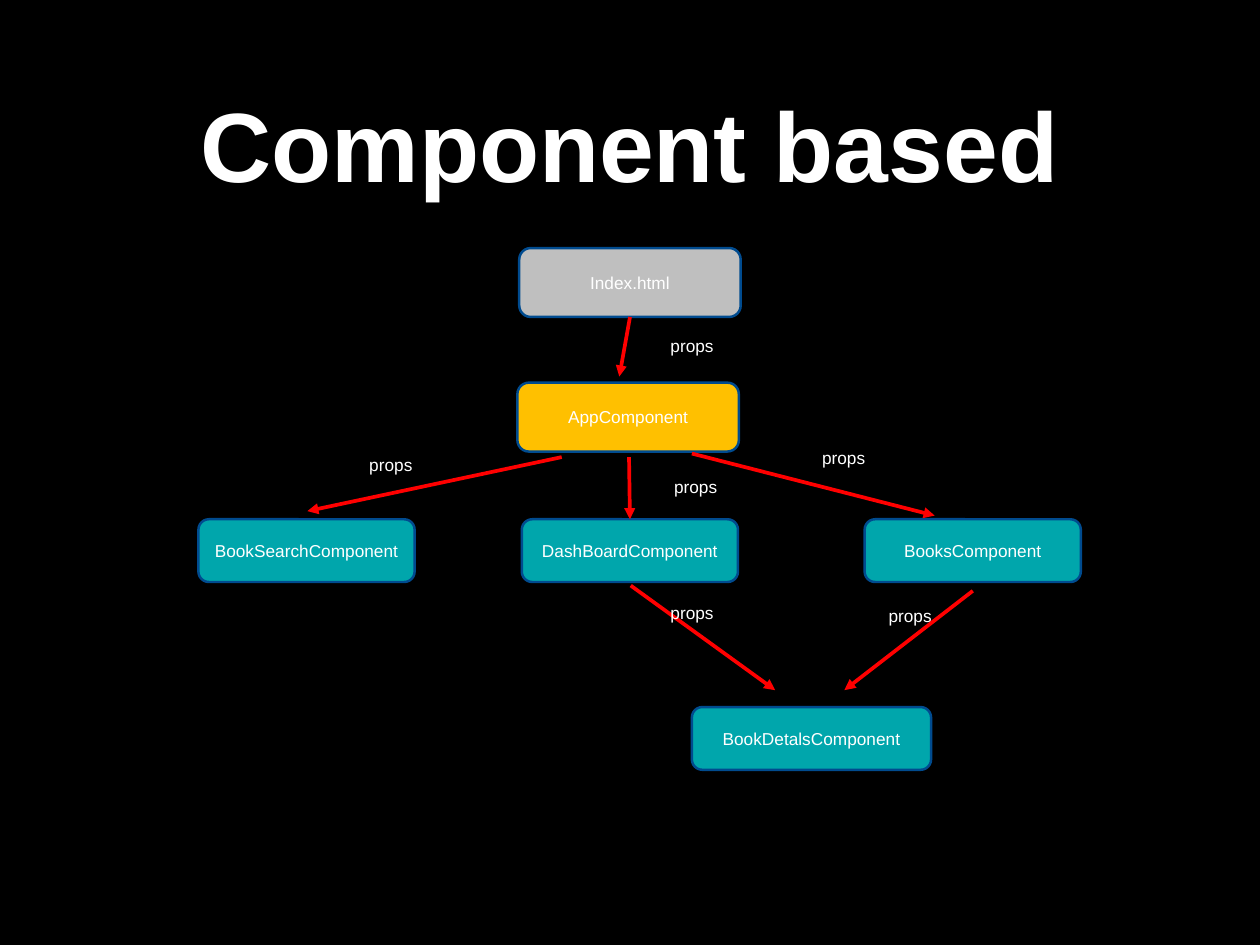
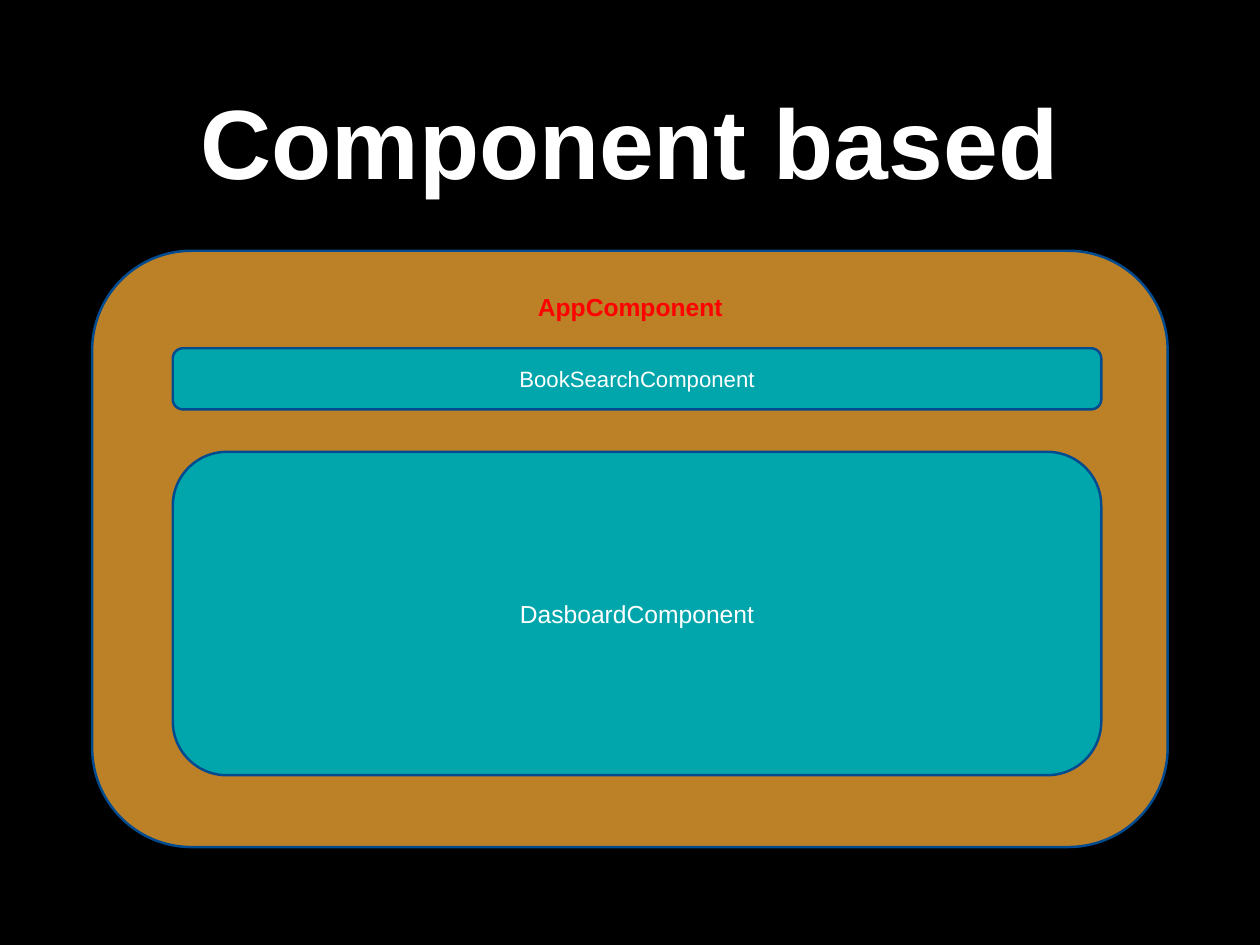
"""Build two slides that show a component tree and its nested layout."""
from dataclasses import dataclass
from typing import Optional

from lxml import etree
from pptx import Presentation
from pptx.dml.color import RGBColor
from pptx.enum.shapes import MSO_CONNECTOR, MSO_SHAPE
from pptx.enum.text import MSO_ANCHOR, MSO_AUTO_SIZE, PP_ALIGN
from pptx.oxml.ns import qn
from pptx.util import Pt

ROUNDED = MSO_SHAPE.ROUNDED_RECTANGLE
STRAIGHT = MSO_CONNECTOR.STRAIGHT
MIDDLE = MSO_ANCHOR.MIDDLE
NO_FIT, GROW = MSO_AUTO_SIZE.NONE, MSO_AUTO_SIZE.SHAPE_TO_FIT_TEXT
CENTER, LEFT = PP_ALIGN.CENTER, PP_ALIGN.LEFT
TOP_SITE, BOTTOM_SITE = 0, 2

BLACK, WHITE, RED = "000000", "FFFFFF", "FF0000"
TEAL, AMBER, GREY, BROWN, NAVY = "00A6AC", "FFC000", "BFBFBF", "BC8027", "004B8F"
FONT = "Arial"
TITLE_ONLY = 5
CONTENT_LEFT, CONTENT_WIDTH = 74.9, 874.1
TITLE_FRAME = {
    "word_wrap": True, "auto_size": NO_FIT, "vertical_anchor": MIDDLE,
    "margin_left": Pt(7.2), "margin_right": Pt(7.2),
    "margin_top": Pt(7.2), "margin_bottom": Pt(7.2),
}
BOX_FRAME = {"word_wrap": True, "vertical_anchor": MIDDLE}
LABEL_FRAME = {"word_wrap": False, "auto_size": GROW}


@dataclass(frozen=True)
class Box:
    """A rounded rectangle with optional centred text."""
    text: str
    left: float
    top: float
    width: float
    height: float
    fill: str = TEAL
    size: float = 14


@dataclass(frozen=True)
class Label:
    """A free text that does not wrap."""
    text: str
    left: float
    top: float
    width: float = 49.7
    height: float = 24.5
    size: float = 14
    color: str = WHITE
    bold: bool = False
    align: PP_ALIGN = LEFT


@dataclass(frozen=True)
class Arrow:
    """A red arrow, joined to the boxes named as source or target."""
    start: tuple[float, float]
    end: tuple[float, float]
    source: Optional[str] = None
    target: Optional[str] = None


LEAF_TOP, LEAF_WIDTH, LEAF_HEIGHT = 422, 175.7, 51
ROOT_WIDTH, ROOT_HEIGHT = 180, 56
INNER_LEFT, INNER_WIDTH = 140.4, 754.6

TREE_BOXES = [
    Box("Index.html", 422, 201.6, ROOT_WIDTH, ROOT_HEIGHT, GREY),
    Box("AppComponent", 420.5, 311, ROOT_WIDTH, ROOT_HEIGHT, AMBER),
    Box("BookSearchComponent", 161.3, LEAF_TOP, LEAF_WIDTH, LEAF_HEIGHT),
    Box("DashBoardComponent", 424.1, LEAF_TOP, LEAF_WIDTH, LEAF_HEIGHT),
    Box("BooksComponent", 702.7, LEAF_TOP, LEAF_WIDTH, LEAF_HEIGHT),
    Box("BookDetalsComponent", 562.3, 574.6, 194.4, LEAF_HEIGHT),
]
TREE_ARROWS = [
    Arrow((506.2, 255.6), (503.3, 306), source="Index.html"),
    Arrow((456.5, 371.5), (249.8, 415.4)),
    Arrow((511.2, 371.5), (508.3, 421.2), target="DashBoardComponent"),
    Arrow((562.3, 368.6), (759.6, 419)),
    Arrow((512.6, 475.9), (630, 560.9)),
    Arrow((790.6, 480.2), (686.2, 560.9)),
]
PROPS_POSITIONS = [
    (537.8, 269.3), (293, 365.8), (540.7, 383.8),
    (661, 360), (537.8, 486), (715, 488.2),
]
TREE_LABELS = [Label("props", left, top) for left, top in PROPS_POSITIONS]

NESTED_BOXES = [
    Box("", CONTENT_LEFT, 203.8, CONTENT_WIDTH, 484.6, BROWN),
    Box("BookSearchComponent", INNER_LEFT, 283, INNER_WIDTH, 49.7, size=18),
    Box("DasboardComponent", INNER_LEFT, 367.2, INNER_WIDTH, 262.8, size=20),
]
NESTED_LABELS = [
    Label("AppComponent", 429.1, 234, 166.3, 31.7, 20, RED, True, CENTER),
]


def rgb(color: str) -> RGBColor:
    """Turn a hex string into a colour."""
    return RGBColor.from_string(color)


def apply_format(target, values: dict) -> None:
    """Set every attribute named in the format values."""
    for name, value in values.items():
        setattr(target, name, value)


def write_text(shape, text: str, frame: dict, size: float, color: str = WHITE,
               bold: bool = False, align: PP_ALIGN = CENTER) -> None:
    """Put one formatted paragraph into a shape."""
    apply_format(shape.text_frame, frame)
    paragraph = shape.text_frame.paragraphs[0]
    paragraph.alignment = align
    run = paragraph.add_run()
    run.text = text
    apply_format(run.font, {"name": FONT, "size": Pt(size), "bold": bold})
    run.font.color.rgb = rgb(color)


def add_slide(presentation, title_top: float):
    """Add a slide with the shared title."""
    slide = presentation.slides.add_slide(presentation.slide_layouts[TITLE_ONLY])
    title = slide.shapes.title
    apply_format(title, {"left": Pt(CONTENT_LEFT), "top": Pt(title_top),
                         "width": Pt(CONTENT_WIDTH), "height": Pt(169.9)})
    write_text(title, "Component based", TITLE_FRAME, 80, bold=True)
    return slide


def add_box(slide, box: Box):
    """Draw a rounded rectangle and return its shape."""
    shape = slide.shapes.add_shape(
        ROUNDED, Pt(box.left), Pt(box.top), Pt(box.width), Pt(box.height))
    shape.shadow.inherit = False
    shape.fill.solid()
    shape.fill.fore_color.rgb = rgb(box.fill)
    shape.line.color.rgb = rgb(NAVY)
    shape.line.width = Pt(2)
    if box.text:
        write_text(shape, box.text, BOX_FRAME, box.size)
    return shape


def add_label(slide, label: Label) -> None:
    """Draw a free text."""
    shape = slide.shapes.add_textbox(
        Pt(label.left), Pt(label.top), Pt(label.width), Pt(label.height))
    write_text(shape, label.text, LABEL_FRAME, label.size, label.color,
               label.bold, label.align)


def add_arrow(slide, arrow: Arrow, shapes: dict) -> None:
    """Draw an arrow and join it to its boxes."""
    connector = slide.shapes.add_connector(
        STRAIGHT, *map(Pt, arrow.start + arrow.end))
    if arrow.source:
        connector.begin_connect(shapes[arrow.source], BOTTOM_SITE)
    if arrow.target:
        connector.end_connect(shapes[arrow.target], TOP_SITE)
    connector.line.color.rgb = rgb(RED)
    connector.line.width = Pt(3)
    properties = connector.element.spPr
    etree.SubElement(properties.find(qn("a:ln")), qn("a:tailEnd"), type="triangle")
    etree.SubElement(properties, qn("a:effectLst"))


def build_tree_slide(presentation) -> None:
    """Build the component tree."""
    slide = add_slide(presentation, 31.7)
    shapes = {box.text: add_box(slide, box) for box in TREE_BOXES}
    for arrow in TREE_ARROWS:
        add_arrow(slide, arrow, shapes)
    for label in TREE_LABELS:
        add_label(slide, label)


def build_nested_slide(presentation) -> None:
    """Build the nested component layout."""
    slide = add_slide(presentation, 28.8)
    for box in NESTED_BOXES:
        add_box(slide, box)
    for label in NESTED_LABELS:
        add_label(slide, label)


def main() -> None:
    """Build and save the presentation."""
    presentation = Presentation()
    presentation.slide_width, presentation.slide_height = Pt(1024), Pt(768)
    background = presentation.slide_master.background.fill
    background.solid()
    background.fore_color.rgb = rgb(BLACK)
    build_tree_slide(presentation)
    build_nested_slide(presentation)
    presentation.save("out.pptx")


if __name__ == "__main__":
    main()
